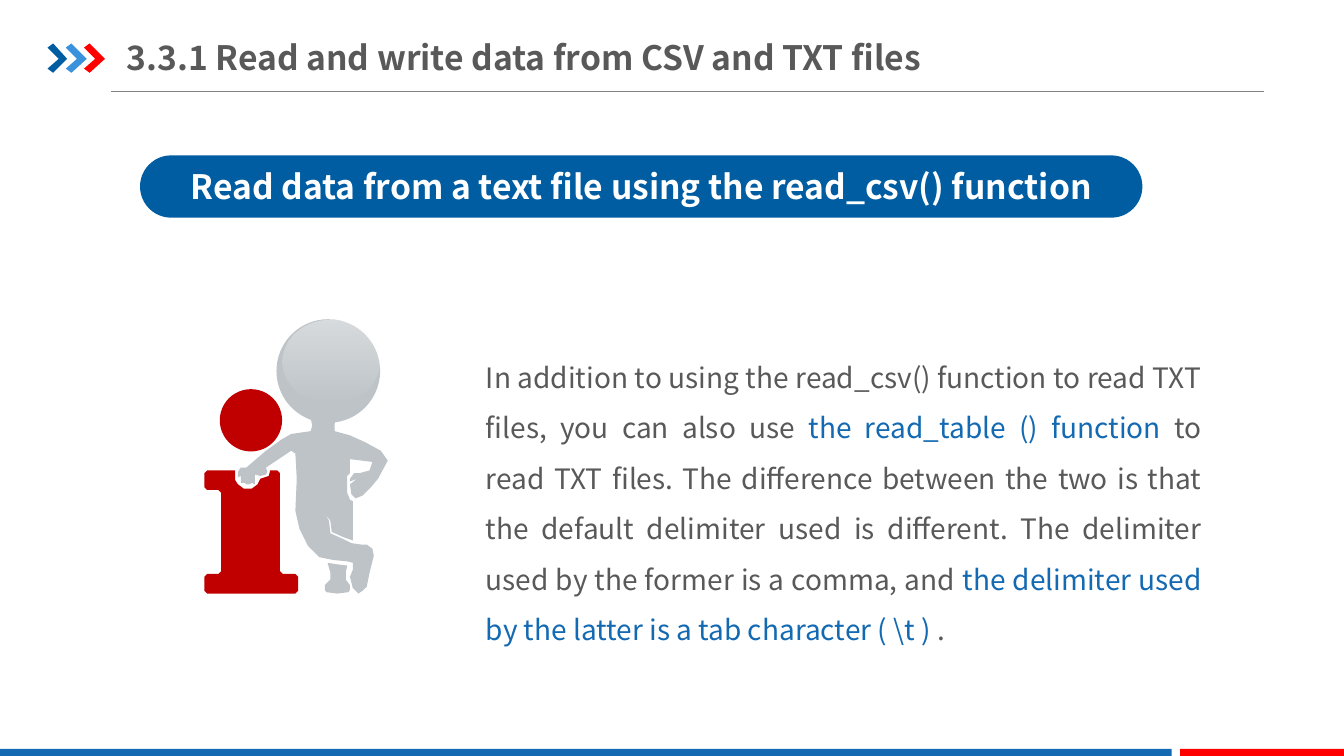
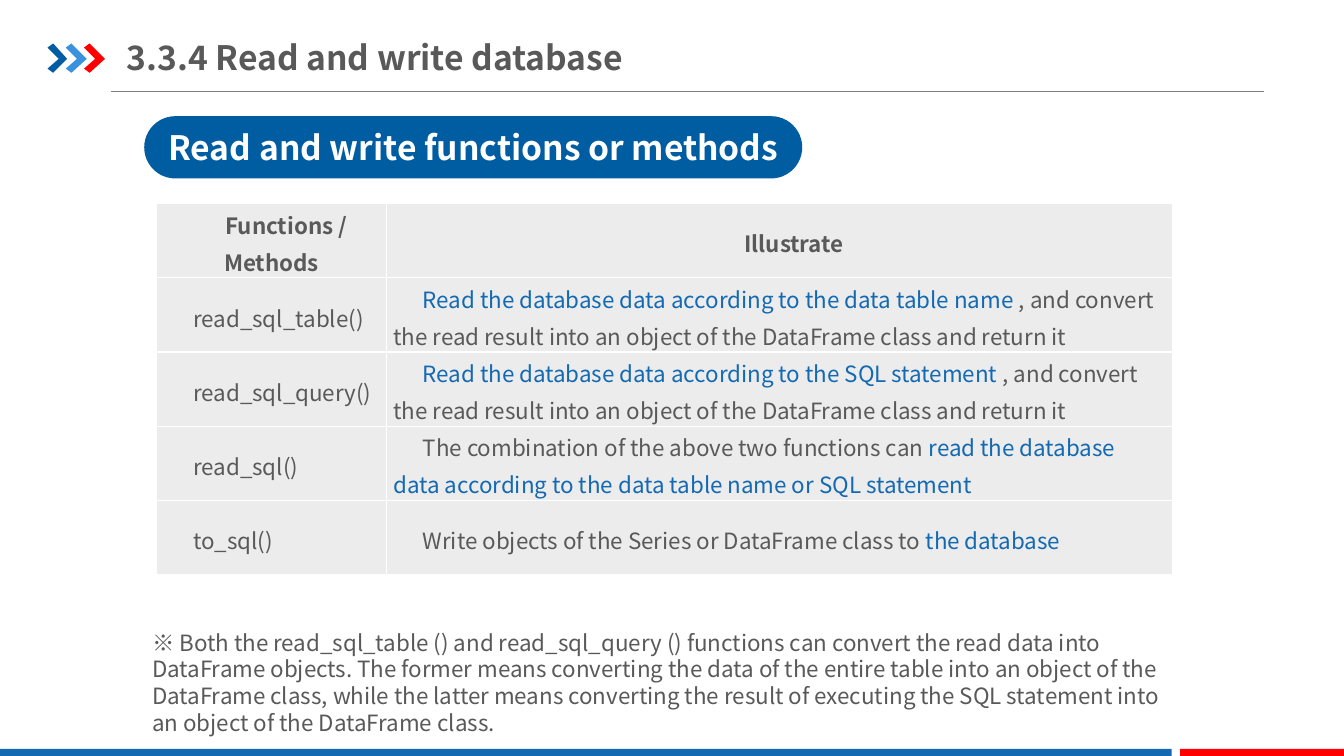
from dataclasses import dataclass
from typing import NamedTuple

from lxml.etree import SubElement
from pptx import Presentation
from pptx.dml.color import RGBColor
from pptx.enum.shapes import MSO_CONNECTOR, MSO_SHAPE
from pptx.enum.text import MSO_ANCHOR, PP_ALIGN
from pptx.oxml import parse_xml
from pptx.oxml.ns import nsdecls, qn
from pptx.util import Pt

# Shared style
FONT = "Noto Sans CJK SC"
GREY, BLUE, NAVY, SKY = "595959", "1369B2", "005DA2", "3992DB"
RED, CRIMSON, SILVER, WHITE = "FF0000", "C00000", "BDC3C7", "FFFFFF"
RULE_GREY, CELL_GREY = "808080", "ECECEC"


class Box(NamedTuple):
    left: float
    top: float
    width: float
    height: float

    def lengths(self) -> list:
        return [Pt(value) for value in self]


class Span(NamedTuple):
    text: str
    color: str = GREY


@dataclass
class TextStyle:
    size: float
    bold: bool = False
    align: PP_ALIGN = PP_ALIGN.LEFT
    spacing: float = 1.0
    indent: float = 0


TITLE = TextStyle(24, bold=True)
PILL = TextStyle(24, bold=True, align=PP_ALIGN.CENTER)
BODY = TextStyle(20, align=PP_ALIGN.JUSTIFY, spacing=1.5)
NOTE = TextStyle(16)
HEADER = TextStyle(16, bold=True, align=PP_ALIGN.CENTER, spacing=1.15, indent=21)
CELL = TextStyle(16, spacing=1.15, indent=21)

CHEVRON = [(0, 3), (3.5, 0), (14.5, 11), (3.5, 21.5), (0, 18), (7.5, 11)]

# Leaning figure: torso with limbs, resting foot and the letter stem
TORSO = [
    (240, 299), (239, 303), (239, 307.5), (250, 311), (261, 315.5),
    (271.5, 322), (277, 329), (269.5, 342), (265, 348.5), (259, 354),
    (254, 356.5), (251, 353), (250, 345.5), (255, 341.5), (249.5, 343.5),
    (250, 341.5), (253, 338.5), (257, 337.5), (263.5, 336), (265.5, 330.5),
    (250.5, 327.5), (250.5, 337.5), (247.5, 340), (247.5, 345), (248.5, 352),
    (250.5, 357), (252, 358), (252, 364), (252.5, 374), (252, 381),
    (251.5, 386), (246, 384), (237, 379.5), (235.5, 372), (232.5, 367),
    (235, 372), (235.5, 381), (245, 385), (251, 387.5), (258, 389),
    (262, 389), (265.5, 391.5), (267, 397), (264, 409), (262, 419),
    (259, 422.5), (256, 423.5), (251.5, 420.5), (250.5, 412), (252.5, 407),
    (252.5, 402.5), (248.5, 401), (238, 400), (227.5, 397.5), (219.5, 390),
    (213.5, 378), (211, 365), (212.5, 342), (211, 324), (208.5, 322.5),
    (202.5, 326), (190, 333.5), (191, 337), (190, 339), (186, 340),
    (182, 339), (182, 345.5), (179.5, 345), (178.5, 346.5), (175.5, 346.5),
    (175, 345), (172, 345), (172, 340), (169.5, 341), (170, 337),
    (172, 334.5), (176.5, 333.5), (190, 322.5), (201, 314.5), (208, 310.5),
    (222, 307.5), (223, 304), (222, 299),
]
FOOT = [
    (234, 402), (240, 403), (247.5, 403.5), (247, 409), (247, 414.5),
    (250, 417.5), (250.5, 421), (249, 423), (241, 423.5), (233, 423),
    (232, 421), (232.5, 417.5), (235.5, 414.5), (235.5, 409),
]
STEM = [
    (147.5, 336), (168, 336), (168, 340), (168.5, 343), (170, 346),
    (174, 349), (180.5, 349), (184.5, 345.5), (186, 342), (192, 340),
    (193, 336), (197.5, 336), (199.5, 338), (199.5, 407.5), (201.5, 409.5),
    (211, 409.5), (213, 411.5), (213, 421.5), (211, 423.5), (147.5, 423.5),
    (145.5, 421.5), (145.5, 411.5), (147.5, 409.5), (156.5, 409.5),
    (158.5, 407.5), (158.5, 352), (156.5, 350), (147.5, 350),
    (145.5, 348), (145.5, 338),
]


def rgb(color: str) -> RGBColor:
    return RGBColor.from_string(color)


def paint(shape, color: str) -> None:
    shape.shadow.inherit = False
    shape.fill.solid()
    shape.fill.fore_color.rgb = rgb(color)
    shape.line.fill.background()


def write(frame, spans: list[Span], style: TextStyle) -> None:
    frame.word_wrap = True
    paragraph = frame.paragraphs[0]
    paragraph.alignment = style.align
    paragraph.line_spacing = style.spacing
    if style.indent:
        properties = paragraph._p.get_or_add_pPr()
        properties.set("marL", "0")
        properties.set("indent", str(Pt(style.indent)))
    for span in spans:
        run = paragraph.add_run()
        run.text = span.text
        run.font.name = FONT
        run.font.size = Pt(style.size)
        run.font.bold = style.bold
        run.font.color.rgb = rgb(span.color)


def add_text(slide, box: Box, spans: list[Span], style: TextStyle):
    frame = slide.shapes.add_textbox(*box.lengths()).text_frame
    write(frame, spans, style)
    return frame


def add_block(slide, kind: MSO_SHAPE, box: Box, color: str):
    block = slide.shapes.add_shape(kind, *box.lengths())
    paint(block, color)
    return block


def add_outline(slide, points: list[tuple], color: str, left: float = 0, top: float = 0) -> None:
    placed = [(left + x, top + y) for x, y in points]
    builder = slide.shapes.build_freeform(*placed[0], scale=Pt(1))
    builder.add_line_segments(placed[1:], close=True)
    paint(builder.convert_to_shape(), color)


def add_pill(slide, box: Box, text: str) -> None:
    pill = add_block(slide, MSO_SHAPE.ROUNDED_RECTANGLE, box, NAVY)
    pill.adjustments[0] = 0.5
    pill.text_frame.vertical_anchor = MSO_ANCHOR.MIDDLE
    write(pill.text_frame, [Span(text, WHITE)], PILL)


def add_topic_slide(deck, title: str):
    slide = deck.slides.add_slide(deck.slide_layouts[6])
    # Title rule and chevrons
    rule = slide.shapes.add_connector(MSO_CONNECTOR.STRAIGHT, Pt(79), Pt(65.5), Pt(903), Pt(65.5))
    rule.line.color.rgb = rgb(RULE_GREY)
    rule.line.width = Pt(0.75)
    SubElement(rule._element.spPr, qn("a:effectLst"))
    for index, color in enumerate((NAVY, SKY, RED)):
        add_outline(slide, CHEVRON, color, 34 + 13.25 * index, 31)
    # Footer band
    add_block(slide, MSO_SHAPE.RECTANGLE, Box(0, 535, 837, 5), BLUE)
    add_block(slide, MSO_SHAPE.RECTANGLE, Box(843, 535, 117, 5), RED)
    # Title
    frame = add_text(slide, Box(90.5, 21, 780, 39.5), [Span(title)], TITLE)
    frame.margin_left = frame.margin_right = 0
    frame.margin_top = frame.margin_bottom = Pt(5)
    frame.vertical_anchor = MSO_ANCHOR.MIDDLE
    return slide


def add_figure(slide) -> None:
    add_outline(slide, FOOT, SILVER)
    add_outline(slide, TORSO, SILVER)
    add_block(slide, MSO_SHAPE.OVAL, Box(197.5, 228, 74, 74), SILVER)
    add_outline(slide, STEM, CRIMSON)
    add_block(slide, MSO_SHAPE.OVAL, Box(157, 278, 44.5, 44.5), CRIMSON)
    # Light on the head, fading downwards
    gloss = add_block(slide, MSO_SHAPE.OVAL, Box(202, 228, 69, 60), WHITE)
    gloss.fill.gradient()
    gloss.fill.gradient_angle = 270
    for stop, position, alpha in zip(gloss.fill.gradient_stops, (0, 1), (42000, 0)):
        stop.position = position
        stop.color.rgb = rgb(WHITE)
        SubElement(stop._gs[0], qn("a:alpha")).set("val", str(alpha))


def add_method_table(slide, rows: list[list[list[Span]]]) -> None:
    # Each row holds two lines of cell text
    column_widths, row_height = (164, 561.5), 53
    box = Box(112, 145.5, sum(column_widths), row_height * len(rows))
    table = slide.shapes.add_table(len(rows), len(column_widths), *box.lengths()).table
    table.first_row = table.horz_banding = False
    for column, width in zip(table.columns, column_widths):
        column.width = Pt(width)
    for row_index, row in enumerate(rows):
        table.rows[row_index].height = Pt(row_height)
        for column_index, spans in enumerate(row):
            cell = table.cell(row_index, column_index)
            cell.margin_left = cell.margin_right = Pt(5)
            cell.margin_top = cell.margin_bottom = 0
            cell.vertical_anchor = MSO_ANCHOR.MIDDLE
            for side in "LRTB":
                cell._tc.get_or_add_tcPr().append(parse_xml(
                    f'<a:ln{side} {nsdecls("a")} w="{Pt(1)}"><a:solidFill>'
                    f'<a:srgbClr val="{WHITE}"/></a:solidFill></a:ln{side}>'))
            cell.fill.solid()
            cell.fill.fore_color.rgb = rgb(CELL_GREY)
            write(cell.text_frame, spans, CELL if row_index else HEADER)


def build_text_file_slide(deck) -> None:
    slide = add_topic_slide(deck, "3.3.1 Read and write data from CSV and TXT files")
    add_text(slide, Box(340, 242, 525.5, 221), [
        Span("In addition to using the read_csv() function to read TXT files, you can also use "),
        Span("the read_table () function ", BLUE),
        Span("to read TXT files. The difference between the two is that the default delimiter "
             "used is different. The delimiter used by the former is a comma, and "),
        Span("the delimiter used by the latter is a tab character ( \\t ) ", BLUE),
        Span("."),
    ], BODY)
    add_figure(slide)
    add_pill(slide, Box(100, 111, 716, 44.5), "Read data from a text file using the read_csv() function")


def build_database_slide(deck) -> None:
    slide = add_topic_slide(deck, "3.3.4 Read and write database")
    add_pill(slide, Box(103, 83, 470, 44.5), "Read and write functions or methods")
    conversion = Span(", and convert the read result into an object of the DataFrame class and return it")
    add_method_table(slide, [
        [[Span("Functions / Methods")], [Span("Illustrate")]],
        [[Span("read_sql_table()")],
         [Span("Read the database data according to the data table name ", BLUE), conversion]],
        [[Span("read_sql_query()")],
         [Span("Read the database data according to the SQL statement ", BLUE), conversion]],
        [[Span("read_sql()")],
         [Span("The combination of the above two functions can "),
          Span("read the database data according to the data table name or SQL statement", BLUE)]],
        [[Span("to_sql()")],
         [Span("Write objects of the Series or DataFrame class to "), Span("the database", BLUE)]],
    ])
    add_text(slide, Box(101.5, 445.5, 751.5, 84), [Span(
        "※ Both the read_sql_table () and read_sql_query () functions can convert the read data "
        "into DataFrame objects. The former means converting the data of the entire table into an "
        "object of the DataFrame class, while the latter means converting the result of executing "
        "the SQL statement into an object of the DataFrame class.")], NOTE)


def main() -> None:
    deck = Presentation()
    deck.slide_width, deck.slide_height = Pt(960), Pt(540)
    build_text_file_slide(deck)
    build_database_slide(deck)
    deck.save("out.pptx")


if __name__ == "__main__":
    main()
